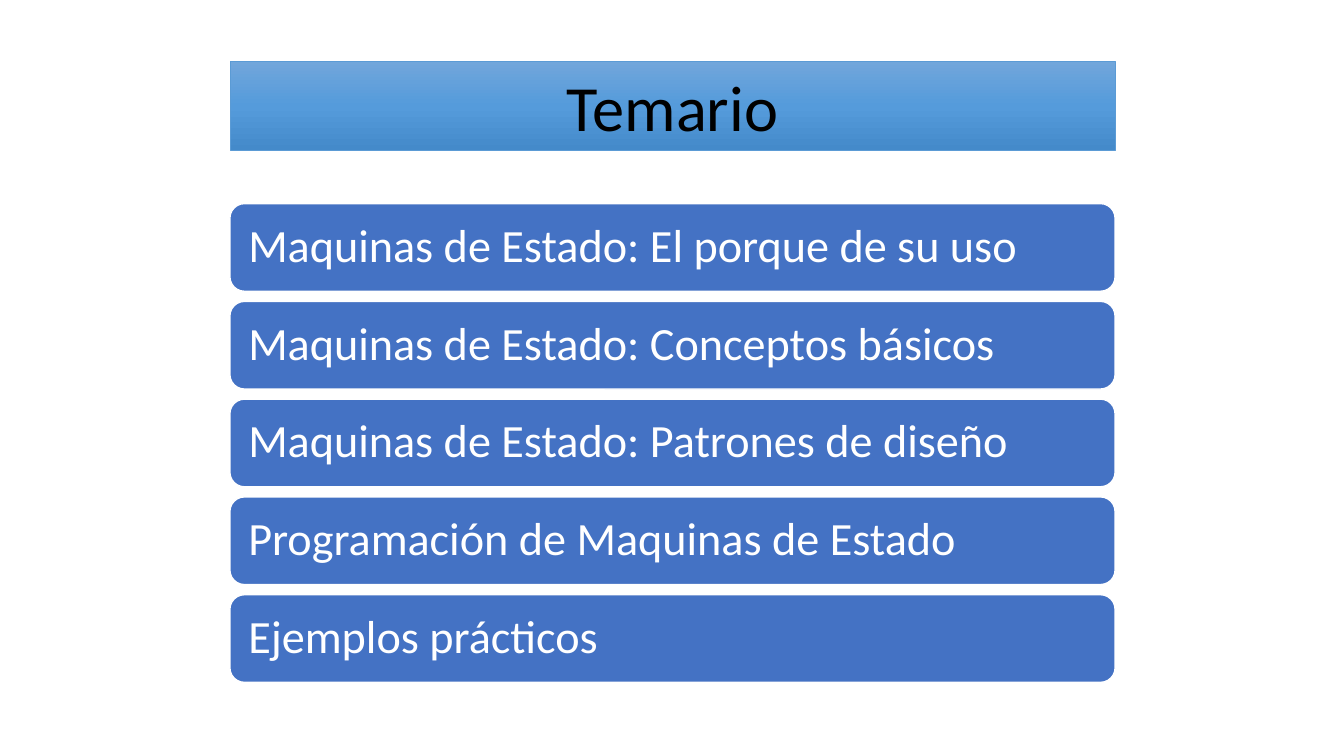
from copy import deepcopy

from pptx import Presentation
from pptx.dml.color import RGBColor
from pptx.enum.shapes import MSO_SHAPE
from pptx.enum.text import MSO_ANCHOR, MSO_AUTO_SIZE, PP_ALIGN
from pptx.oxml.ns import qn
from pptx.util import Inches, Pt

ROUNDED = MSO_SHAPE.ROUNDED_RECTANGLE
MIDDLE = MSO_ANCHOR.MIDDLE
GROW = MSO_AUTO_SIZE.SHAPE_TO_FIT_TEXT
LEFT, CENTER = PP_ALIGN.LEFT, PP_ALIGN.CENTER

COLORS = {
    "topic": "4472C4",
    "white": "FFFFFF",
    "black": "000000",
    "banner_top": "71A6DB",
    "banner_middle": "559BDB",
    "banner_bottom": "448ACA",
    "banner_edge": "5B9BD5",
}

TOPICS = [
    "Maquinas de Estado: El porque de su uso",
    "Maquinas de Estado: Conceptos básicos",
    "Maquinas de Estado: Patrones de diseño",
    "Programación de Maquinas de Estado",
    "Ejemplos prácticos",
]
COLUMN_LEFT, COLUMN_WIDTH = 2.28, 8.78
TOPICS_TOP, TOPIC_HEIGHT, TOPIC_STEP = 2.02, 0.87, 0.97


class AgendaSlide:
    font_name = "Calibri"

    def __init__(self, presentation):
        self.slide = presentation.slides.add_slide(presentation.slide_layouts[5])

    def color(self, name):
        return RGBColor.from_string(COLORS[name])

    def label(self, shape, text, size, color, align):
        frame = shape.text_frame
        frame.text = text
        frame.word_wrap = True
        frame.vertical_anchor = MIDDLE
        paragraph = frame.paragraphs[0]
        paragraph.alignment = align
        font = paragraph.runs[0].font
        font.name = self.font_name
        font.size = Pt(size)
        font.color.rgb = self.color(color)
        return paragraph

    def outline(self, shape, color, width):
        shape.line.color.rgb = self.color(color)
        shape.line.width = Pt(width)

    def banner(self, text, top, height):
        title = self.slide.shapes.title
        title.left, title.top = Inches(COLUMN_LEFT), Inches(top)
        title.width, title.height = Inches(COLUMN_WIDTH), Inches(height)
        title.fill.gradient()
        title.fill.gradient_angle = 270
        stop_list = title.element.spPr.find(".//" + qn("a:gsLst"))
        stop_list.insert(1, deepcopy(stop_list[0]))
        shades = ("banner_top", "banner_middle", "banner_bottom")
        for index, (stop, shade) in enumerate(zip(title.fill.gradient_stops, shades)):
            stop.color.rgb = self.color(shade)
            stop.position = index / 2
        self.outline(title, "banner_edge", 0.5)
        self.label(title, text, 46, "black", CENTER)
        title.text_frame.auto_size = GROW

    def topic(self, text, top):
        card = self.slide.shapes.add_shape(
            ROUNDED, Inches(COLUMN_LEFT), Inches(top),
            Inches(COLUMN_WIDTH), Inches(TOPIC_HEIGHT))
        card.shadow.inherit = False
        card.fill.solid()
        card.fill.fore_color.rgb = self.color("topic")
        self.outline(card, "white", 1)
        frame = card.text_frame
        frame.margin_left = frame.margin_right = Inches(0.14)
        frame.margin_top = frame.margin_bottom = Inches(0.14)
        self.label(card, text, 33, "white", LEFT).line_spacing = 0.9


def main():
    presentation = Presentation()
    presentation.slide_width = Inches(13.33)
    presentation.slide_height = Inches(7.5)
    agenda = AgendaSlide(presentation)
    agenda.banner("Temario", 0.61, 0.88)
    for index, text in enumerate(TOPICS):
        agenda.topic(text, TOPICS_TOP + index * TOPIC_STEP)
    presentation.save("out.pptx")


if __name__ == "__main__":
    main()
